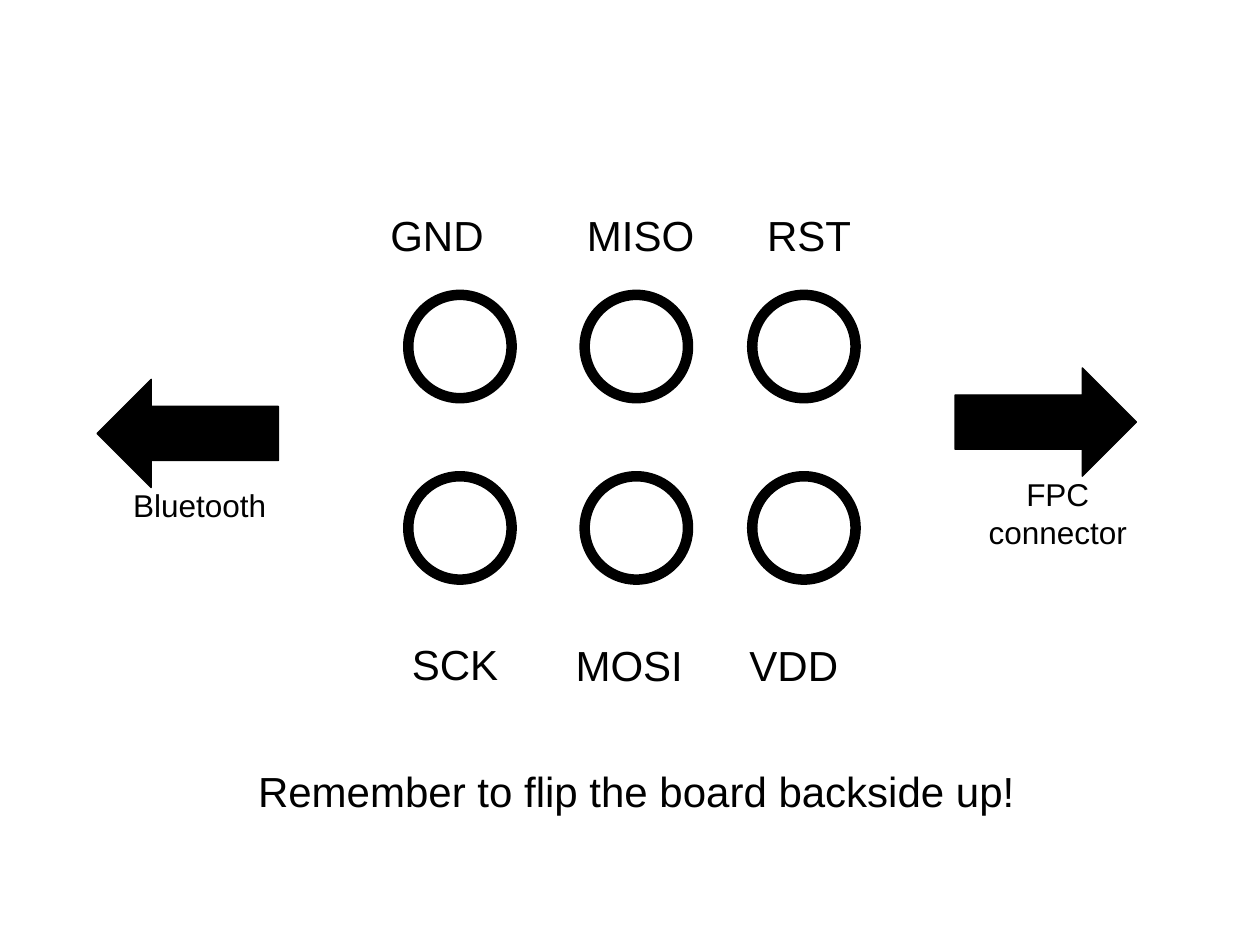
import dataclasses

import pptx
import pptx.dml.color
import pptx.enum.shapes
import pptx.enum.text
import pptx.util

KIND = pptx.enum.shapes.MSO_SHAPE
ALIGN = pptx.enum.text.PP_ALIGN


@dataclasses.dataclass(frozen=True)
class Theme:
    ink: pptx.dml.color.RGBColor = pptx.dml.color.RGBColor(0, 0, 0)
    font: str = "Arial"
    large: int = 24
    small: int = 18
    ring: float = 6
    edge: float = 0.75


THEME = Theme()
WIDE, HIGH = 10, 7.5

# Pin grid: left edge of each column, top edge of each row
COLS = (3.24, 4.64, 5.97)
ROWS = (2.34, 3.78)
HOLE = 0.82

# Each pin name with the left and top of its label
PINS = (
    ("GND", 3.0, 1.61), ("MISO", 4.56, 1.61), ("RST", 5.99, 1.61),
    ("SCK", 3.17, 5.02), ("MOSI", 4.47, 5.03), ("VDD", 5.85, 5.03),
)

# Each side: name, arrow left and top, turn, label height
SIDES = (
    ("FPC connector", 7.58, 2.92, 0, 0.71),
    ("Bluetooth", 0.77, 3.01, 180, 0.4),
)


def place(*nums):
    return [pptx.util.Inches(num) for num in nums]


def outline(shape, width):
    shape.shadow.inherit = False
    shape.line.color.rgb = THEME.ink
    shape.line.width = pptx.util.Pt(width)


def hole(slide, left, top):
    shape = slide.shapes.add_shape(KIND.OVAL, *place(left, top, HOLE, HOLE))
    shape.fill.background()
    outline(shape, THEME.ring)


def arrow(slide, left, top, turn):
    box = place(left, top, 1.44, 0.86)
    shape = slide.shapes.add_shape(KIND.RIGHT_ARROW, *box)
    shape.rotation = turn
    shape.fill.solid()
    shape.fill.fore_color.rgb = THEME.ink
    outline(shape, THEME.edge)


def label(slide, text, box, size, align=ALIGN.LEFT):
    frame = slide.shapes.add_textbox(*place(*box)).text_frame
    frame.word_wrap = True
    frame.auto_size = pptx.enum.text.MSO_AUTO_SIZE.SHAPE_TO_FIT_TEXT
    para = frame.paragraphs[0]
    para.alignment = align
    run = para.add_run()
    run.text = text
    run.font.name = THEME.font
    run.font.size = pptx.util.Pt(size)
    run.font.color.rgb = THEME.ink


def main():
    deck = pptx.Presentation()
    deck.slide_width, deck.slide_height = place(WIDE, HIGH)
    slide = deck.slides.add_slide(deck.slide_layouts[6])

    for top in ROWS:
        for left in COLS:
            hole(slide, left, top)
    for name, left, top in PINS:
        label(slide, name, (left, top, 1.06, 0.5), THEME.large)
    for name, left, top, turn, tall in SIDES:
        arrow(slide, left, top, turn)
        box = (left - 0.04, top + 0.8, 1.71, tall)
        label(slide, name, box, THEME.small, ALIGN.CENTER)
    label(slide, "Remember to flip the board backside up!",
          (1.95, 6.03, 6.57, 0.5), THEME.large)

    deck.save("out.pptx")


if __name__ == "__main__":
    main()
